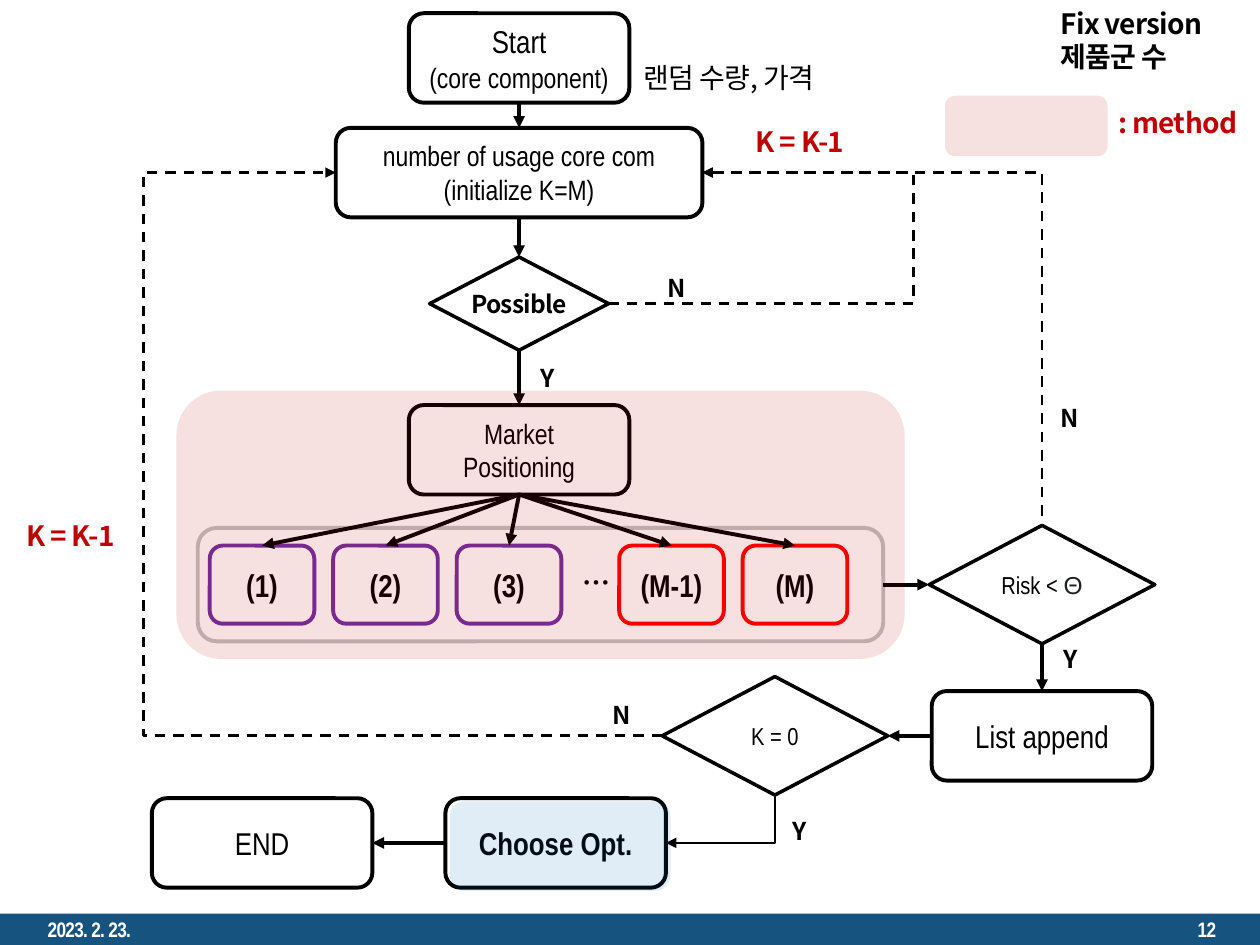
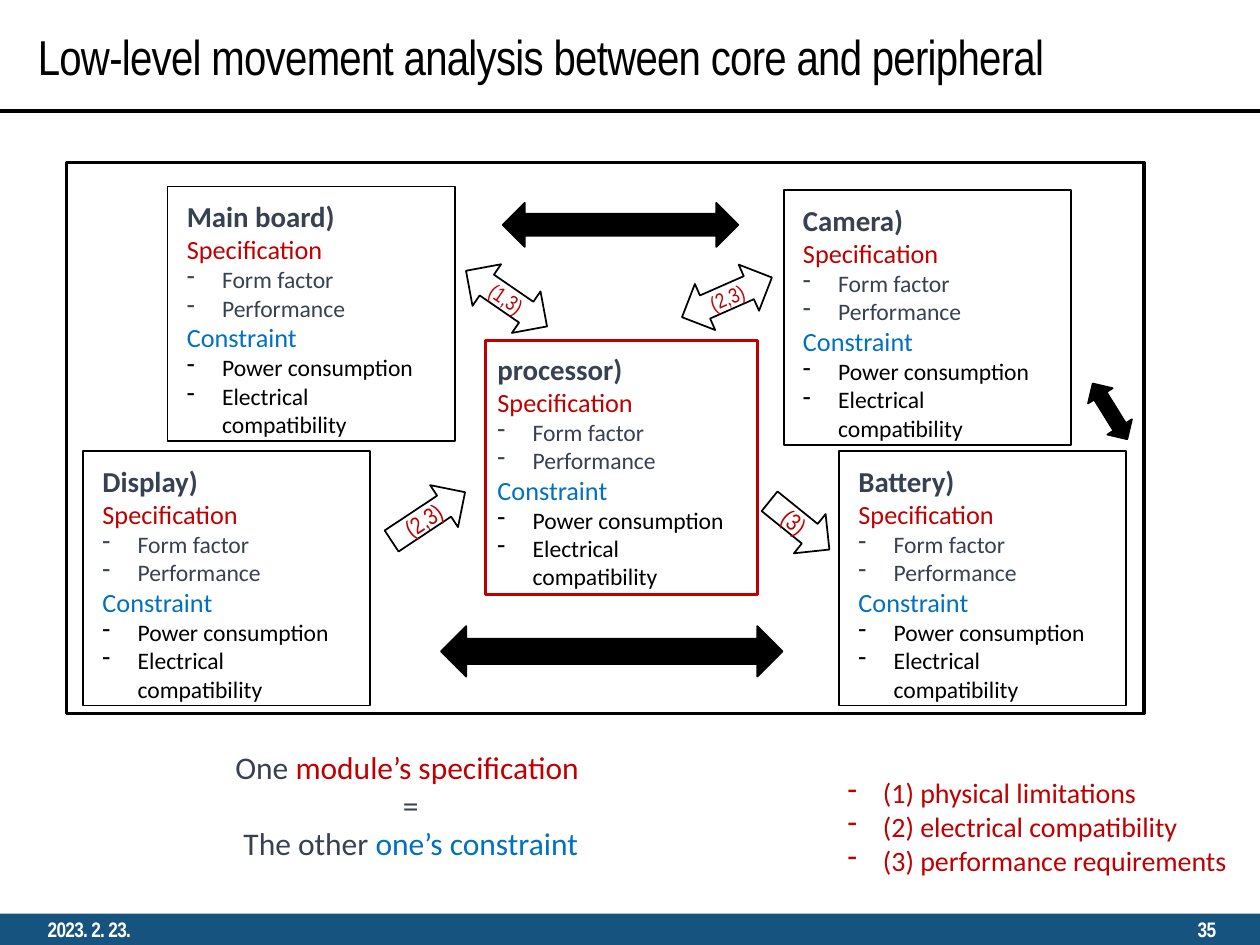
from dataclasses import dataclass
from lxml.etree import SubElement
from pptx import Presentation
from pptx.dml.color import RGBColor
from pptx.enum.dml import MSO_LINE
from pptx.enum.shapes import MSO_CONNECTOR, MSO_SHAPE
from pptx.enum.text import MSO_ANCHOR, MSO_AUTO_SIZE, PP_ALIGN
from pptx.oxml.ns import qn
from pptx.util import Inches, Pt


@dataclass(frozen=True)
class Theme:
    black: str = "000000"
    white: str = "FFFFFF"
    band: str = "16537F"
    crimson: str = "C00000"
    blue: str = "0070C0"
    slate: str = "374151"
    purple: str = "7030A0"
    red: str = "FF0000"
    symbol: str = "202124"
    narrow: str = "Arial Narrow"
    korean: str = "Noto Sans CJK KR"
    body: str = "Calibri"
    title: float = 28
    large: float = 18
    heading: float = 16.5
    medium: float = 16
    section: float = 15
    small: float = 14
    item: float = 13.5
    tiny: float = 12
    tint: int = 12
    thick: float = 2.25


T = Theme()
WIDTH, HEIGHT = 10, 7.5
BAND_TOP = 7.25
DATE = "2023. 2. 23."

# ---- Flowchart content: columns and rows are centres, in inches ----
SPINE, RIGHT, DECISION = 4.12, 8.27, 6.15
ROWS = dict(start=0.46, number=1.37, possible=2.41, market=3.57,
            variants=4.64, check=5.84, finish=6.69)
STEP, DIAMOND = (1.75, 0.71), (1.79, 0.94)
LARGE, MEDIUM = dict(size=T.large), dict(size=T.medium)
STEPS = {  # key: paragraphs, column, row, size, text format
    "start": (["Start", [("(core component)", MEDIUM)]], SPINE, "start", STEP, LARGE),
    "number": (["number of usage core com", "(initialize K=M)"],
               SPINE, "number", (2.91, 0.71), MEDIUM),
    "market": (["Market Positioning"], SPINE, "market", STEP, MEDIUM),
    "append": (["List append"], RIGHT, "check", STEP, LARGE),
    "choose": (["Choose Opt."], 4.41, "finish", STEP, dict(size=T.large, bold=True)),
    "end": (["END"], 2.08, "finish", STEP, LARGE),
}
DECISIONS = {
    "possible": (["Possible"], SPINE, "possible", (1.42, 0.74),
                 dict(size=T.small, font=T.korean, bold=True, spacing=-0.4)),
    "risk": ([[("Risk < ", {}), ("Θ", dict(font="Arial", color=T.symbol))]],
             RIGHT, "variants", DIAMOND, dict(size=T.small)),
    "check": (["K = 0"], DECISION, "check", DIAMOND, dict(size=T.small)),
}
VARIANTS = [("(1)", T.purple), ("(2)", T.purple), ("(3)", T.purple),
            ("(M-1)", T.red), ("(M)", T.red)]
VARIANT_LEFT, VARIANT_PITCH, ELLIPSIS_GAP = 2.08, 0.98, 0.31
TOP, LEFT, BOTTOM, RIGHT_SIDE = range(4)
ARROWS = [("start", BOTTOM, "number", TOP), ("number", BOTTOM, "possible", TOP),
          ("possible", BOTTOM, "market", TOP), ("group", RIGHT_SIDE, "risk", LEFT),
          ("risk", BOTTOM, "append", TOP), ("append", LEFT, "check", RIGHT_SIDE),
          ("choose", LEFT, "end", RIGHT_SIDE)]
# from, to, bend as a share of the width (None: a single corner), dashed, arrow end
LOOPS = [
    ("number", RIGHT_SIDE, "risk", TOP, None, True, "headEnd"),
    ("possible", RIGHT_SIDE, "number", RIGHT_SIDE, 3.25, True, "tailEnd"),
    ("check", LEFT, "number", LEFT, 1.59, True, "tailEnd"),
    ("choose", RIGHT_SIDE, "check", BOTTOM, None, False, "headEnd"),
]
ANSWERS = [("N", 5.2, 2.12), ("Y", 4.19, 2.83), ("N", 8.32, 3.15),
           ("Y", 8.34, 5.06), ("N", 4.76, 5.51), ("Y", 6.19, 6.43)]
NOTES = [("K = K-1", 5.9, 0.94, T.crimson), ("K = K-1", 0.11, 4.07, T.crimson),
         (": method", 8.78, 0.79, T.crimson),
         ("Fix version\v제품군 수", 8.32, 0, T.black)]
TINTS = [((1.4, 3.1, 5.78, 2.13), T.crimson), ((3.57, 6.36, *STEP), T.blue),
         ((7.5, 0.76, 1.29, 0.48), T.crimson)]

# ---- Module content ----
MODULE_TITLE = "Low-level movement analysis between core and peripheral"
CARD, CARD_INSET = (2.28, 2.02), 0.055
MODULES = [("Main board)", 1.33, 1.48), ("Camera)", 6.22, 1.51),
           ("Display)", 0.66, 3.58), ("Battery)", 6.66, 3.58)]
CORE = ("processor)", 3.85, 2.7)
SECTIONS = [("Specification", T.crimson, T.slate, ["Form factor", "Performance"]),
            ("Constraint", T.blue, T.black,
             ["Power consumption", "Electrical compatibility"])]
BOTH, ONE = MSO_SHAPE.LEFT_RIGHT_ARROW, MSO_SHAPE.RIGHT_ARROW
LINKS = [  # outline, box, rotation, label, type size
    (BOTH, (3.63, 2.17, 0.78, 0.4), 34.5, "(1,3)", T.tiny),
    (ONE, (3.05, 3.9, 0.7, 0.4), 326.4, "(2,3)", T.item),
    (BOTH, (5.38, 2.16, 0.78, 0.4), 336.2, "(2,3)", T.tiny),
    (ONE, (6.04, 3.97, 0.61, 0.4), 38.9, "(3)", T.item),
    (BOTH, (3.5, 4.97, 2.71, 0.4), 0, "", 0),
    (BOTH, (8.55, 3.15, 0.52, 0.23), 238.2, "", 0),
    (BOTH, (3.99, 1.61, 1.87, 0.35), 0, "", 0),
]
LEGEND = ["(1) physical limitations", "(2) electrical compatibility",
          "(3) performance requirements"]
RULE = [
    [("One ", {}), ("module’s specification ", dict(color=T.crimson))],
    "=",
    [("The other ", {}), ("one’s constraint", dict(color=T.blue))],
]


# ---- Shared drawing ----
def write(frame, paragraphs, align=PP_ALIGN.LEFT, anchor=MSO_ANCHOR.TOP,
          wrap=True, inset=None, bullet=False, **style):
    """Fill a frame; a paragraph is a string or a list of (text, format) runs."""
    frame.word_wrap, frame.vertical_anchor = wrap, anchor
    frame.auto_size = MSO_AUTO_SIZE.NONE
    if inset is not None:
        frame.margin_left = frame.margin_right = Inches(inset)
        frame.margin_top = frame.margin_bottom = Inches(inset)
    for index, content in enumerate(paragraphs):
        paragraph = frame.paragraphs[0] if index == 0 else frame.add_paragraph()
        paragraph.alignment = align
        runs = [(content, {})] if isinstance(content, str) else content
        if runs[0][1].get("bullet", bullet):
            properties = paragraph._p.get_or_add_pPr()
            properties.set("marL", str(Inches(0.28)))
            properties.set("indent", str(-Inches(0.28)))
            SubElement(properties, qn("a:buChar")).set("char", "-")
        for text, changes in runs:
            add_run(paragraph, text, **{**style, **changes})


def add_run(paragraph, text, size, font=T.narrow, color=T.black, bold=False,
            spacing=0, bullet=False):
    for index, line in enumerate(text.split("\v")):
        if index:
            paragraph.add_line_break()
        run = paragraph.add_run()
        run.text = line
        run.font.size, run.font.bold, run.font.name = Pt(size), bold, font
        run.font.color.rgb = RGBColor.from_string(color)
        properties = run._r.get_or_add_rPr()
        SubElement(properties, qn("a:ea")).set("typeface", font)
        if spacing:
            properties.set("spc", str(round(spacing * 100)))


def paint(fill, color, alpha=None):
    if color is None:
        fill.background()
        return
    fill.solid()
    fill.fore_color.rgb = RGBColor.from_string(color)
    if alpha:
        SubElement(fill._xPr.find(".//" + qn("a:srgbClr")), qn("a:alpha")).set(
            "val", str(alpha * 1000))


def add_part(slide, outline, box, fill=None, line=None, weight=T.thick,
             alpha=None, line_alpha=None):
    part = slide.shapes.add_shape(outline, *map(Inches, box))
    part.shadow.inherit = False
    paint(part.fill, fill, alpha)
    paint(part.line.fill, line, line_alpha)
    if line:
        part.line.width = Pt(weight)
    return part


def add_text(slide, box, paragraphs, **style):
    write(slide.shapes.add_textbox(*map(Inches, box)).text_frame, paragraphs, **style)


def add_line(slide, kind=MSO_CONNECTOR.STRAIGHT, ends=(0, 0, 0, 0), weight=T.thick,
             dashed=False, arrow=None, begin=None, end=None):
    line = slide.shapes.add_connector(kind, *map(Inches, ends))
    if begin:
        line.begin_connect(*begin)
        line.end_connect(*end)
    line.line.width = Pt(weight)
    paint(line.line.fill, T.black)
    if dashed:
        line.line.dash_style = MSO_LINE.DASH
    if arrow:
        SubElement(line.line._get_or_add_ln(), qn("a:" + arrow)).set("type", "triangle")
    SubElement(line._element.spPr, qn("a:effectLst"))
    return line


def add_footer(slide, number):
    add_part(slide, MSO_SHAPE.RECTANGLE, (0, BAND_TOP, WIDTH, HEIGHT - BAND_TOP),
             fill=T.band)
    for text, left, align in ((DATE, 0.28, PP_ALIGN.LEFT), (number, 7.5, PP_ALIGN.RIGHT)):
        add_text(slide, (left, BAND_TOP, 2.25, 0.25), [text], align=align,
                 anchor=MSO_ANCHOR.MIDDLE, size=T.tiny, color=T.white, bold=True,
                 spacing=-0.4)


def centred(column, row, size):
    return column - size[0] / 2, row - size[1] / 2, *size


# ---- Slide: flowchart ----
def build_flowchart(deck):
    slide = deck.slides.add_slide(deck.slide_layouts[6])
    add_footer(slide, "12")
    middle = dict(align=PP_ALIGN.CENTER, anchor=MSO_ANCHOR.MIDDLE)
    label = dict(font=T.korean, bold=True, spacing=-0.4)

    # Steps and decisions
    nodes = {}
    for table, outline, weight in ((STEPS, MSO_SHAPE.ROUNDED_RECTANGLE, T.thick),
                                   (DECISIONS, MSO_SHAPE.DIAMOND, 2)):
        for key, (paragraphs, column, row, size, style) in table.items():
            node = add_part(slide, outline, centred(column, ROWS[row], size),
                            line=T.black, weight=weight)
            write(node.text_frame, paragraphs, wrap=table is STEPS, **middle, **style)
            nodes[key] = node

    # Product variants and their frame
    nodes["group"] = add_part(slide, MSO_SHAPE.ROUNDED_RECTANGLE,
                              (1.57, 4.19, 5.44, 0.9), line=T.black, line_alpha=23)
    for index, (name, color) in enumerate(VARIANTS):
        column = VARIANT_LEFT + index * VARIANT_PITCH + (index > 2) * ELLIPSIS_GAP
        variant = add_part(slide, MSO_SHAPE.ROUNDED_RECTANGLE,
                           centred(column, ROWS["variants"], (0.83, 0.62)),
                           fill=T.white, line=color)
        write(variant.text_frame, [name], size=T.large, bold=True, wrap=False, **middle)
        add_line(slide, arrow="tailEnd", begin=(nodes["market"], BOTTOM),
                 end=(variant, TOP))
    add_text(slide, (4.62, 4.49, 0.42, 0.27), ["…"], size=T.medium, inset=0, **label)

    # Arrows and loops
    for source, out, target, into in ARROWS:
        add_line(slide, arrow="tailEnd", begin=(nodes[source], out),
                 end=(nodes[target], into))
    for source, out, target, into, bend, dashed, arrow in LOOPS:
        loop = add_line(slide, MSO_CONNECTOR.ELBOW, weight=1.5, dashed=dashed,
                        arrow=arrow, begin=(nodes[source], out),
                        end=(nodes[target], into))
        geometry = loop._element.spPr.find(qn("a:prstGeom"))
        if bend is None:
            geometry.set("prst", "bentConnector2")
        else:
            guide = SubElement(geometry.find(qn("a:avLst")), qn("a:gd"))
            guide.set("name", "adj1")
            guide.set("fmla", f"val {round(bend * 100000)}")

    # Tinted areas and labels
    for box, color in TINTS:
        add_part(slide, MSO_SHAPE.ROUNDED_RECTANGLE, box, fill=color, alpha=T.tint)
    for text, left, top in ANSWERS:
        add_text(slide, (left, top, 0.47, 0.34), [text], size=T.small, **label)
    for text, left, top, color in NOTES:
        add_text(slide, (left, top, 1.44, 0.37), [text], size=T.medium, color=color,
                 wrap=False, **label)
    add_text(slide, (5.11, 0.48, 1.67, 0.27), ["랜덤 수량, 가격"], size=T.medium,
             font=T.korean, spacing=-0.4, inset=0)


# ---- Slide: modules ----
def add_module(slide, name, left, top, width, color, weight, inset, drop):
    add_part(slide, MSO_SHAPE.RECTANGLE, (left, top, width, CARD[1]), line=color,
             weight=weight)
    lines = [[(name, dict(size=T.heading, color=T.slate, bold=True))]]
    for section, section_color, item_color, items in SECTIONS:
        lines.append([(section, dict(size=T.section, color=section_color))])
        lines += [[(item, dict(color=item_color, bullet=True))] for item in items]
    add_text(slide, (left + inset, top + drop, width - 2 * inset, CARD[1]), lines,
             size=T.item, font=T.body)


def build_modules(deck):
    slide = deck.slides.add_slide(deck.slide_layouts[5])
    add_footer(slide, "35")
    title = slide.shapes.title
    title.left, title.top, title.width, title.height = map(Inches, (0.2, 0.12, 9.38, 0.64))
    write(title.text_frame, [MODULE_TITLE], anchor=MSO_ANCHOR.MIDDLE, size=T.title,
          spacing=-0.4)
    add_line(slide, ends=(0, 0.88, WIDTH, 0.88), weight=2)

    # Frame and cards
    add_part(slide, MSO_SHAPE.RECTANGLE, (0.53, 1.29, 8.55, 4.37), line=T.black,
             weight=1.75)
    add_module(slide, *CORE, 2.16, T.crimson, 1.75, 0, 0.04)
    for module in MODULES:
        add_module(slide, *module, CARD[0], T.black, 1, CARD_INSET, 0.05)

    # Arrows between the cards
    for outline, box, rotation, label, size in LINKS:
        link = add_part(slide, outline, box, fill=None if label else T.black,
                        line=T.black, weight=1)
        link.rotation = rotation
        if label:
            write(link.text_frame, [label], size=size, color=T.crimson, wrap=False,
                  align=PP_ALIGN.CENTER, anchor=MSO_ANCHOR.MIDDLE)

    # Rule and legend
    add_text(slide, (0.53, 5.89, 5.46, 1.01), RULE, size=T.large, font=T.body,
             color=T.slate, align=PP_ALIGN.CENTER)
    add_text(slide, (6.63, 6.11, 3.37, 0.94), LEGEND, size=T.medium, font=T.body,
             color=T.crimson, bullet=True)


def main():
    deck = Presentation()
    deck.slide_width, deck.slide_height = Inches(WIDTH), Inches(HEIGHT)
    build_flowchart(deck)
    build_modules(deck)
    deck.save("out.pptx")


if __name__ == "__main__":
    main()
